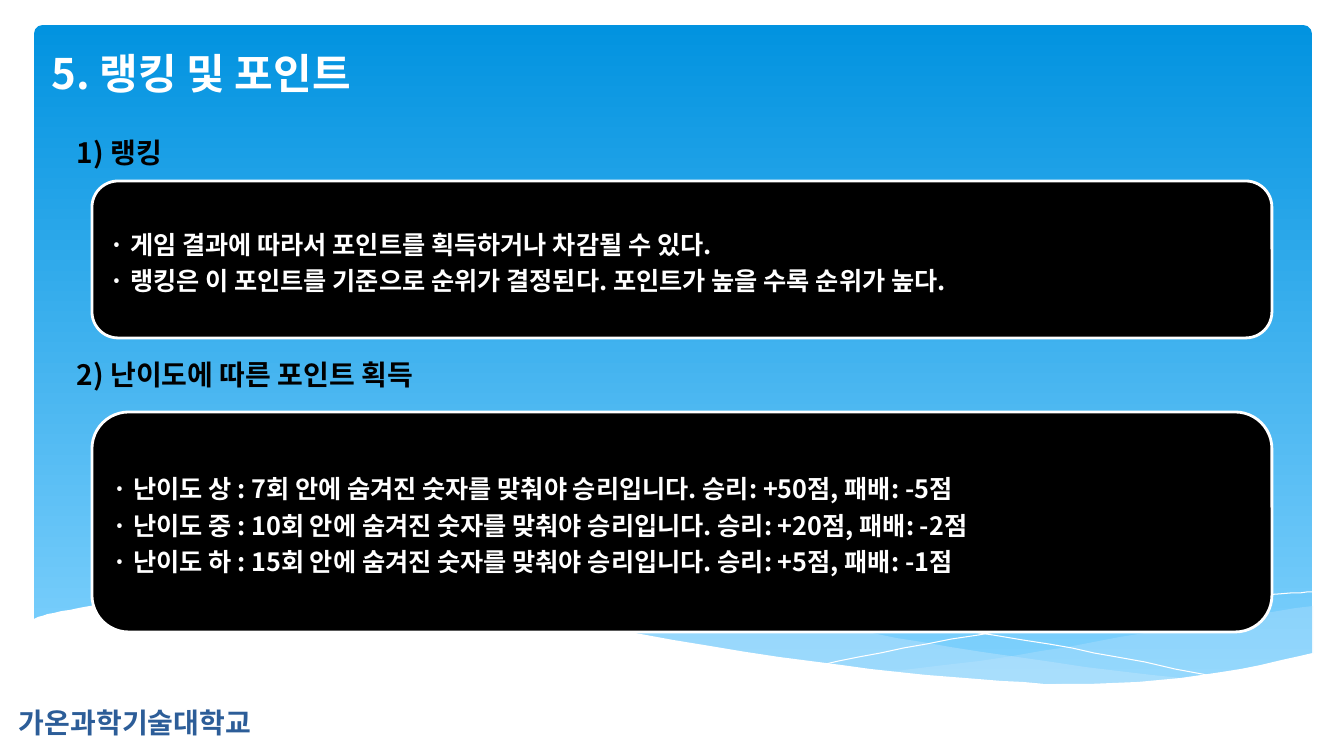
from pptx import Presentation
from pptx.dml.color import RGBColor
from pptx.enum.shapes import MSO_SHAPE
from pptx.enum.text import MSO_ANCHOR, PP_ALIGN
from pptx.oxml.ns import qn
from pptx.util import Emu, Pt
from lxml.etree import SubElement

SCALE = 914400 / 100.8
FONT = "Noto Sans CJK KR"
WHITE, BLACK, NAVY, PALE = "FFFFFF", "000000", "2C5D98", "C6E7FC"

HILL = [(1313, 653), (1241, 669), (1160, 680), (1067, 684), (977, 679),
        (870, 669), (746, 652), (601, 627), (490, 609), (393, 597),
        (308, 591), (237, 591), (177, 594), (128, 600), (79, 608),
        (48, 614), (31, 620)]
RIGHT_TOP = [(1313, 606), (1218, 620), (1120, 637), (1013, 656), (890, 672)]
RIGHT_BOTTOM = [(890, 672), (967, 679), (1067, 684), (1149, 683),
                (1228, 674), (1313, 654)]
BAND_TOP = [(1202, 680), (1085, 667), (950, 647), (847, 629), (747, 612),
            (657, 601), (565, 594), (486, 592), (421, 595), (385, 598)]
BAND_BOTTOM = [(385, 598), (488, 609), (605, 629), (713, 647), (809, 662),
               (915, 675), (1024, 684), (1101, 685), (1166, 683), (1202, 680)]
FALLING = [(416, 602), (463, 597), (540, 594), (606, 594), (686, 599),
           (782, 607), (895, 620), (1023, 640), (1117, 657), (1221, 678)]
RISING = [(826, 664), (904, 648), (1006, 630), (1125, 611), (1205, 601),
          (1279, 594), (1312, 592)]


def px(n):
    """Turn pixels into EMU."""
    return Emu(round(n * SCALE))


def rgb(value):
    """Turn a hex string into a colour."""
    return RGBColor.from_string(value)


def smooth(points, steps=4):
    """Return a Catmull-Rom curve through the points."""
    padded = [points[0], *points, points[-1]]
    curve = [points[0]]
    for a, b, c, d in zip(padded, padded[1:], padded[2:], padded[3:]):
        for i in range(1, steps + 1):
            t = i / steps
            curve.append(tuple(
                (2 * q + (r - p) * t + (2 * p - 5 * q + 4 * r - s) * t ** 2
                 + (3 * q - p - 3 * r + s) * t ** 3) / 2
                for p, q, r, s in zip(a, b, c, d)))
    return curve


def add_outline(s, points, close):
    """Add a shadowless freeform through the points."""
    fb = s.shapes.build_freeform(*points[0], scale=SCALE)
    fb.add_line_segments(points[1:], close=close)
    sp = fb.convert_to_shape()
    sp.shadow.inherit = False
    return sp


def add_wave(s, points, color, alpha=100):
    """Add a filled wave with the given opacity in percent."""
    sp = add_outline(s, points, True)
    sp.fill.solid()
    sp.fill.fore_color.rgb = rgb(color)
    sp.line.fill.background()
    if alpha < 100:
        clr = sp.fill._xPr.find(qn("a:solidFill"))[0]
        SubElement(clr, qn("a:alpha"), val=str(alpha * 1000))


def add_hairline(s, points):
    """Add a thin white open curve."""
    sp = add_outline(s, smooth(points), False)
    sp.fill.background()
    sp.line.color.rgb = rgb(WHITE)
    sp.line.width = Pt(0)


def add_round_rect(s, x, y, w, h):
    """Add a shadowless rounded rectangle."""
    sp = s.shapes.add_shape(MSO_SHAPE.ROUNDED_RECTANGLE,
                            px(x), px(y), px(w), px(h))
    sp.shadow.inherit = False
    return sp


def write(tf, lines, size, color, spacing, before=0):
    """Write bold left-aligned paragraphs into a text frame."""
    tf.word_wrap = True
    tf.text = "\n".join(lines)
    for p in tf.paragraphs:
        p.alignment = PP_ALIGN.LEFT
        p.line_spacing = spacing
        p.space_before = Pt(before)
        for r in p.runs:
            r.font.size = Pt(size)
            r.font.bold = True
            r.font.name = FONT
            r.font.color.rgb = rgb(color)
            SubElement(r.font._element, qn("a:ea"), typeface=FONT)


def add_label(s, x, y, w, h, text, size, color):
    """Add a one-line text box."""
    tf = s.shapes.add_textbox(px(x), px(y), px(w), px(h)).text_frame
    write(tf, [text], size, color, 0.9, 10)


def add_panel(s, y, h, lines):
    """Add a black rounded panel with white lines of text."""
    sp = add_round_rect(s, 92, y, 1180, h)
    sp.fill.solid()
    sp.fill.fore_color.rgb = rgb(BLACK)
    sp.line.color.rgb = rgb(WHITE)
    sp.line.width = Pt(2)
    sp.text_frame.vertical_anchor = MSO_ANCHOR.MIDDLE
    write(sp.text_frame, lines, 18, WHITE, 1.2)


def add_backdrop(s):
    """Add the blue gradient card and the waves at its foot."""
    sp = add_round_rect(s, 34, 25, 1278, 665)
    sp.adjustments[0] = 0.013
    sp.line.fill.background()
    sp.fill.gradient()
    sp.fill.gradient_angle = 270
    for stop, position, color in zip(sp.fill.gradient_stops, (0, 1),
                                     ("0293E0", "83D3FE")):
        stop.position = position
        stop.color.rgb = rgb(color)
    add_wave(s, smooth(RIGHT_TOP) + smooth(RIGHT_BOTTOM), PALE, 29)
    add_wave(s, smooth(BAND_TOP) + smooth(BAND_BOTTOM), PALE, 40)
    add_hairline(s, FALLING)
    add_hairline(s, RISING)
    add_wave(s, smooth(HILL) + [(31, 737), (1313, 737)], WHITE)


def main():
    """Build the ranking and points slide."""
    prs = Presentation()
    prs.slide_width, prs.slide_height = px(1344), px(756)
    s = prs.slides.add_slide(prs.slide_layouts[6])
    add_backdrop(s)
    add_label(s, 9, 704, 481, 43, "가온과학기술대학교", 20, NAVY)
    add_label(s, 42, 48, 380, 59, "5. 랭킹 및 포인트", 30, WHITE)
    add_label(s, 67, 356, 423, 56, "2) 난이도에 따른 포인트 획득", 20, BLACK)
    levels = [("상", 7, 50, 5), ("중", 10, 20, 2), ("하", 15, 5, 1)]
    add_panel(s, 412, 220, [
        f"· 난이도 {level} : {tries}회 안에 숨겨진 숫자를 맞춰야 승리입니다. "
        f"승리: +{win}점, 패배: -{loss}점"
        for level, tries, win, loss in levels])
    add_label(s, 67, 134, 423, 56, "1) 랭킹", 20, BLACK)
    add_panel(s, 181, 157, [
        "· 게임 결과에 따라서 포인트를 획득하거나 차감될 수 있다.",
        "· 랭킹은 이 포인트를 기준으로 순위가 결정된다. "
        "포인트가 높을 수록 순위가 높다."])
    prs.save("out.pptx")


main()
